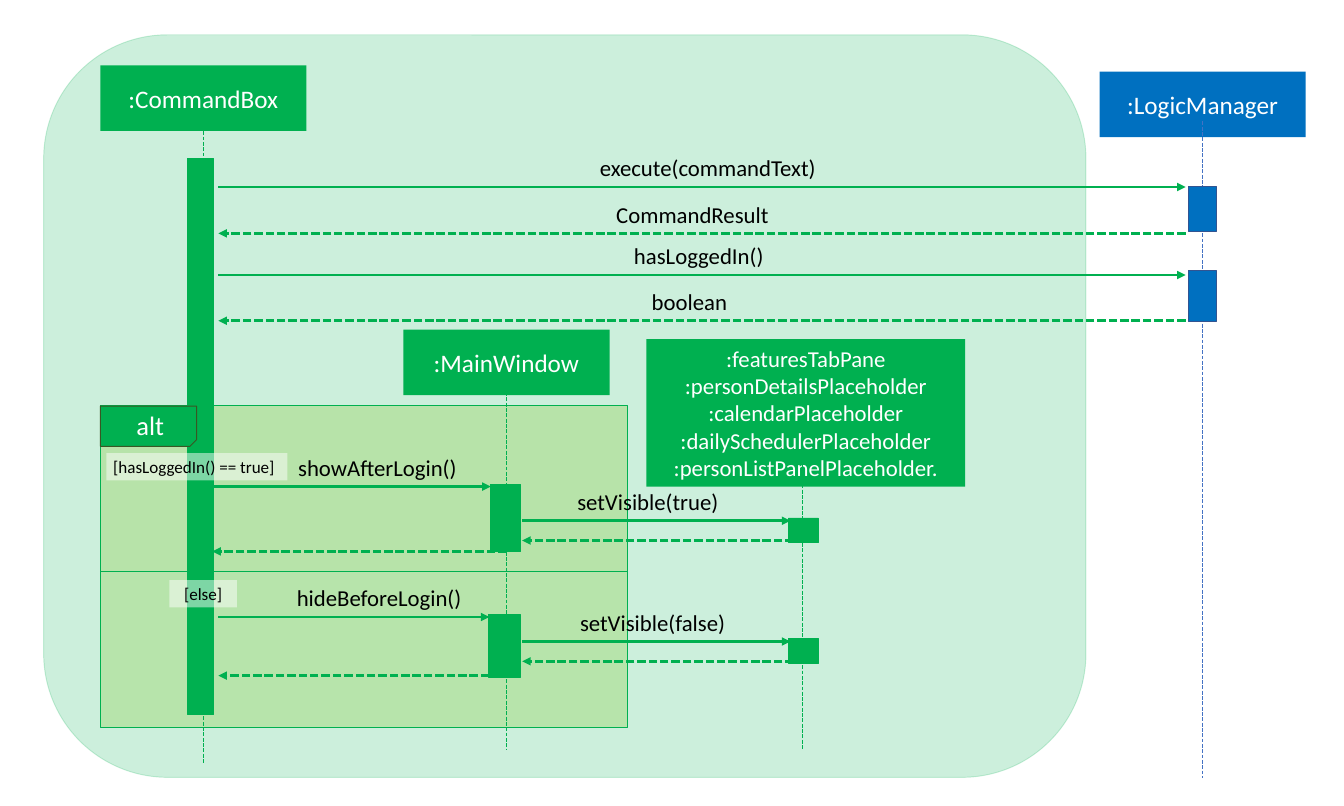
from lxml.etree import SubElement
from pptx import Presentation
from pptx.dml.color import RGBColor
from pptx.enum.dml import MSO_LINE
from pptx.enum.shapes import MSO_CONNECTOR, MSO_SHAPE
from pptx.enum.text import MSO_ANCHOR, PP_ALIGN
from pptx.oxml.ns import qn
from pptx.util import Inches, Pt

THEME = {
    "font": "Calibri",
    "green": "00B050", "lime": "92D050", "moss": "385723",
    "blue": "0070C0", "navy": "325491", "steel": "4472C4",
    "white": "FFFFFF", "black": "000000",
    "tag": 28, "head": 26.6, "note": 24, "guard": 18,
}
CELL = Inches(0.1)  # the grid: 196.9 columns by 118.1 rows
LIFT = 5.3  # rows from the top of a label down to its arrow
HEAD = {"margin_left": Inches(0.15), "margin_right": Inches(0.15),
        "margin_top": Inches(0.07), "margin_bottom": Inches(0.07),
        "vertical_anchor": MSO_ANCHOR.MIDDLE}
NOTE = {"vertical_anchor": MSO_ANCHOR.TOP}

deck = Presentation()
deck.slide_width, deck.slide_height = Inches(19.69), Inches(11.81)
slide = deck.slides.add_slide(deck.slide_layouts[6])


def block(at, fill=None, edge=None, kind=MSO_SHAPE.RECTANGLE, fade=(), text="",
          size="note", ink="black", align=PP_ALIGN.LEFT, frame=NOTE):
    """Add a shape, or a text box if there is no fill; fade lists the opacity of fill and edge."""
    place = [int(n * CELL) for n in at]
    if fill:
        shape = slide.shapes.add_shape(kind, *place)
        shape.shadow.inherit = False
        shape.fill.solid()
        shape.fill.fore_color.rgb = RGBColor.from_string(THEME[fill])
        if edge:
            shape.line.color.rgb = RGBColor.from_string(THEME[edge])
            shape.line.width = Pt(1)
        else:
            shape.line.fill.background()
        tints = shape.element.spPr.iter(qn("a:srgbClr"))
        for tint, share in zip(tints, fade):
            SubElement(tint, qn("a:alpha"), val=str(share * 1000))
    else:
        shape = slide.shapes.add_textbox(*place)
    if text:
        body = shape.text_frame
        body.text = text
        for key, value in {"word_wrap": True, **frame}.items():
            setattr(body, key, value)
        for para in body.paragraphs:
            para.alignment = align
            for key, value in {"name": THEME["font"], "size": Pt(THEME[size])}.items():
                setattr(para.font, key, value)
            para.font.color.rgb = RGBColor.from_string(THEME[ink])
    return shape


def wire(start, end, tint="green", width=3, dash=None, arrow=True):
    """Add a straight line between two grid points."""
    line = slide.shapes.add_connector(
        MSO_CONNECTOR.STRAIGHT, *[int(n * CELL) for n in (*start, *end)])
    line.line.color.rgb = RGBColor.from_string(THEME[tint])
    for key, value in {"width": Pt(width), "dash_style": dash}.items():
        setattr(line.line, key, value)
    if arrow:
        SubElement(line.line._get_or_add_ln(), qn("a:tailEnd"), type="triangle")
    SubElement(line.element.spPr, qn("a:effectLst"))


# Panel and the two halves of the alt frame
block((6.4, 5.1, 152.7, 108.8), "green", "green", MSO_SHAPE.ROUNDED_RECTANGLE, (20, 20))
for top, height, share in ((83.8, 22.8, 35), (59.4, 24.3, 36)):
    block((14.7, top, 77.2, height), "lime", "green", fade=(share,))

# Heads of the lifelines
panes = """:featuresTabPane
:personDetailsPlaceholder
:calendarPlaceholder
:dailySchedulerPlaceholder
:personListPanelPlaceholder."""
for text, at, fill, size in (
    (":CommandBox", (14.7, 9.6, 30.2, 9.6), "green", "head"),
    (":LogicManager", (161.1, 10.5, 30.2, 9.6), "blue", "head"),
    (":MainWindow", (59.1, 48.3, 30.2, 9.6), "green", "head"),
    (panes, (94.7, 49.7, 46.7, 21.6), "green", "note"),
):
    block(at, fill, text=text, size=size, ink="white", align=PP_ALIGN.CENTER, frame=HEAD)

# Lifelines
for left, top, foot, tint in (
    (29.8, 16.9, 111.8, "green"),
    (176.2, 17.8, 114, "steel"),
    (74.2, 55.9, 109.9, "green"),
    (117.6, 62.4, 109.9, "green"),
):
    wire((left, top), (left, foot), tint, 0.5, MSO_LINE.LONG_DASH, False)

# Activation bars
for at, fill, edge in (
    ((27.5, 23.2, 3.8, 81.5), "green", "green"),
    ((174.1, 27.3, 4.1, 6.6), "blue", "navy"),
    ((174.1, 39.7, 4.1, 7.4), "blue", "navy"),
    ((71.9, 71, 4.4, 9.8), "green", "green"),
    ((71.6, 90.1, 4.6, 9.1), "green", "green"),
    ((115.5, 75.9, 4.4, 3.6), "green", "green"),
    ((115.5, 93.6, 4.4, 3.6), "green", "green"),
):
    block(at, fill, edge)

# Alt tag and guards
tag = block((18.8, 55.4, 5.9, 14.1), "green", "moss", MSO_SHAPE.SNIP_1_RECTANGLE)
tag.rotation = 90
block((19, 59.4, 9, 5.7), text="alt", size="tag", ink="white")
for text, at, align in (
    ("[hasLoggedIn() == true]", (15.6, 66.4, 26.5, 4), PP_ALIGN.LEFT),
    ("[else]", (24.8, 85, 9.9, 4), PP_ALIGN.CENTER),
):
    block(at, "white", fade=(49,), text=text, size="guard", align=align)

# Messages: label, its left edge, start and end column, row; replies run leftward
for text, left, start, end, row in (
    ("execute(commandText)", 86.9, 32, 173.7, 27.4),
    ("CommandResult", 89.3, 173.7, 32, 34.2),
    ("hasLoggedIn()", 91.9, 32, 173.7, 40.3),
    ("boolean", 94.5, 173.7, 32, 47),
    ("showAfterLogin()", 42.7, 29.8, 71.9, 71.3),
    ("", 0, 74.2, 31.1, 80.8),
    ("hideBeforeLogin()", 42.5, 32, 71.7, 90.4),
    ("", 0, 71.7, 32, 99),
    ("setVisible(true)", 83.6, 76.5, 115.8, 76.3),
    ("", 0, 116.3, 76.5, 79.2),
    ("setVisible(false)", 84, 76.5, 115.8, 94),
    ("", 0, 116.3, 76.5, 96.9),
):
    wire((start, row), (end, row), dash=MSO_LINE.SQUARE_DOT if end < start else None)
    if text:
        block((left, row - LIFT, 40, 5), text=text)

deck.save("out.pptx")
